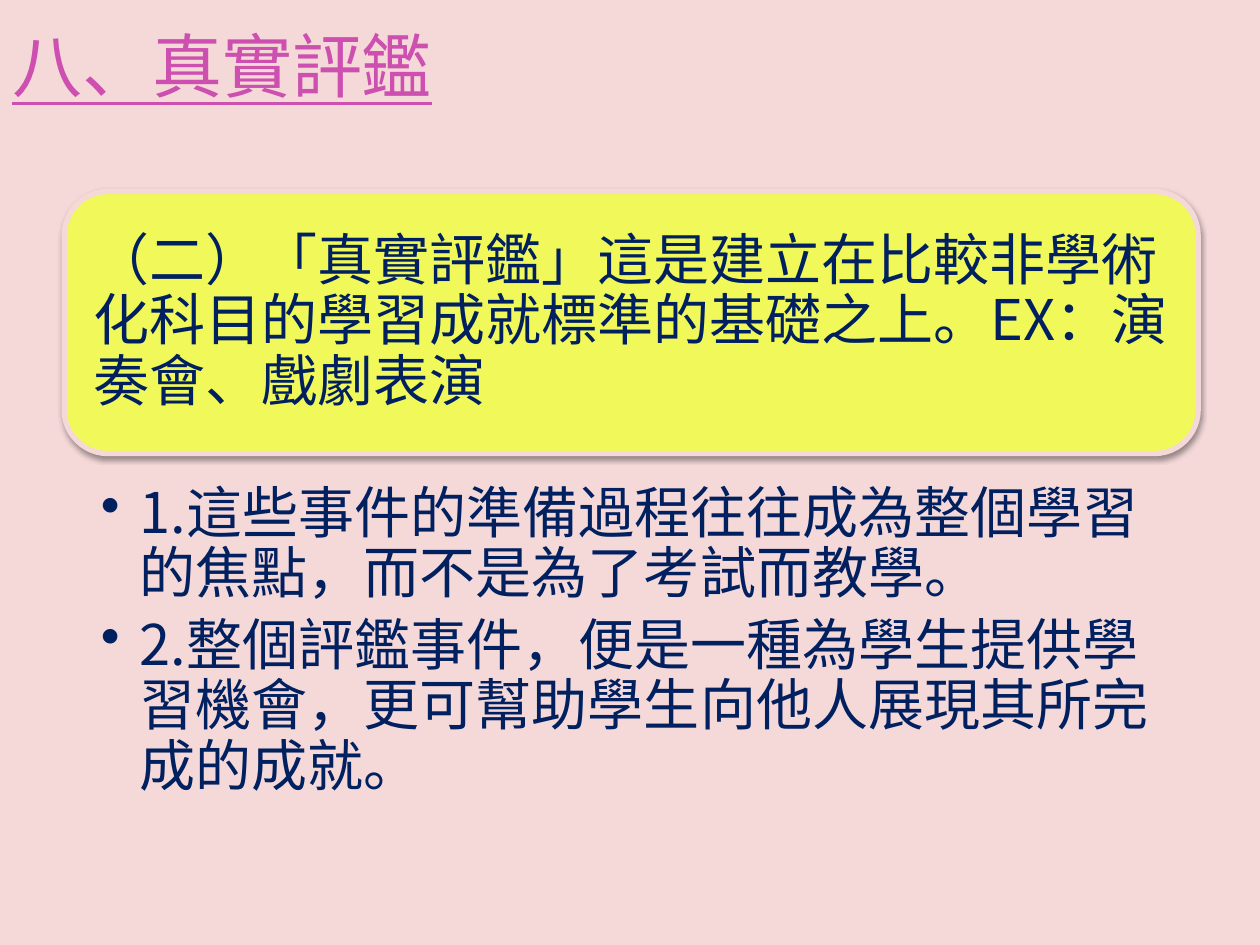
from lxml import etree
from pptx import Presentation
from pptx import util as u
from pptx.dml.color import RGBColor
from pptx.enum import shapes, text
from pptx.oxml import ns

# Content
HEADING = "八、真實評鑑"
DEFINITION = "（二）「真實評鑑」這是建立在比較非學術化科目的學習成就標準的基礎之上。EX：演奏會、戲劇表演"
POINTS = [
    "1.這些事件的準備過程往往成為整個學習的焦點，而不是為了考試而教學。",
    "2.整個評鑑事件，便是一種為學生提供學習機會，更可幫助學生向他人展現其所完成的成就。",
]

FONT = "Noto Sans CJK SC"
PINK = RGBColor(0xF5, 0xD9, 0xD9)
YELLOW = RGBColor(0xF1, 0xF8, 0x59)
NAVY = RGBColor(0x00, 0x20, 0x60)
MAGENTA = RGBColor(0xCD, 0x4F, 0xAF)

# Layout in inches: one column, panel above points
WIDTH, HEIGHT = 10, 7.5
COLUMN_LEFT, COLUMN_WIDTH = 0.51, 0.9 * WIDTH
PANEL_TOP, PANEL_HEIGHT = 1.52, 2.08
POINTS_TOP, POINTS_HEIGHT = 3.81, 2.87
INSET = 0.1
BULLET_INDENT = 0.31


def box(left, top, width, height):
    return [u.Inches(v) for v in (left, top, width, height)]


def add_text(slide, place, paragraphs, size, color, margins, anchor, after=0,
             spacing=None, bullet=None, underline=None):
    frame = slide.shapes.add_textbox(*place).text_frame
    frame.word_wrap = True
    frame.vertical_anchor = anchor
    (frame.margin_left, frame.margin_top,
     frame.margin_right, frame.margin_bottom) = [u.Inches(m) for m in margins]
    for index, wording in enumerate(paragraphs):
        paragraph = frame.paragraphs[0] if index == 0 else frame.add_paragraph()
        if bullet:
            paragraph.level = 1
            props = paragraph._p.get_or_add_pPr()
            props.set("marL", str(u.Inches(BULLET_INDENT)))
            props.set("indent", str(-u.Inches(BULLET_INDENT)))
            etree.SubElement(props, ns.qn("a:buChar"), char=bullet)
        paragraph.alignment = text.PP_ALIGN.LEFT
        paragraph.line_spacing = spacing
        paragraph.space_after = u.Pt(after)
        run = paragraph.add_run()
        run.text = wording
        font = run.font
        font.name, font.size, font.underline = FONT, u.Pt(size), underline
        font.color.rgb = color
        etree.SubElement(run._r.get_or_add_rPr(), ns.qn("a:ea"), typeface=FONT)


def add_panel(slide, place):
    panel = slide.shapes.add_shape(shapes.MSO_SHAPE.ROUNDED_RECTANGLE, *place)
    panel.fill.solid()
    panel.fill.fore_color.rgb = YELLOW
    panel.line.color.rgb = PINK
    panel.line.width = u.Pt(3)
    # Soft shadow falling straight down
    panel.shadow.inherit = False
    effects = panel._element.spPr.find(ns.qn("a:effectLst"))
    shadow = etree.SubElement(
        effects, ns.qn("a:outerShdw"), blurRad=str(u.Pt(3.1)),
        dist=str(u.Pt(1.6)), dir="5400000", rotWithShape="0")
    tint = etree.SubElement(shadow, ns.qn("a:srgbClr"), val="000000")
    etree.SubElement(tint, ns.qn("a:alpha"), val="38000")


def main():
    deck = Presentation()
    deck.slide_width, deck.slide_height = u.Inches(WIDTH), u.Inches(HEIGHT)
    slide = deck.slides.add_slide(deck.slide_layouts[6])
    slide.background.fill.solid()
    slide.background.fill.fore_color.rgb = PINK

    # Definition panel
    add_panel(slide, box(COLUMN_LEFT, PANEL_TOP, COLUMN_WIDTH, PANEL_HEIGHT))
    inner = box(COLUMN_LEFT + INSET, PANEL_TOP + INSET,
                COLUMN_WIDTH - 2 * INSET, PANEL_HEIGHT - 2 * INSET)
    add_text(slide, inner, [DEFINITION], 32, NAVY, [0.13] * 4,
             text.MSO_ANCHOR.MIDDLE, after=11, spacing=0.9)

    # Bulleted points
    add_text(slide, box(COLUMN_LEFT, POINTS_TOP, COLUMN_WIDTH, POINTS_HEIGHT),
             POINTS, 32, NAVY, (0.29, 0.04, 0.25, 0.04),
             text.MSO_ANCHOR.TOP, after=6, spacing=0.9, bullet="•")

    # Heading
    add_text(slide, box(0, -0.11, COLUMN_WIDTH, 1.25), [HEADING], 40, MAGENTA,
             (0.1, 0.05, 0.1, 0.05), text.MSO_ANCHOR.MIDDLE, underline=True)

    deck.save("out.pptx")


if __name__ == "__main__":
    main()
